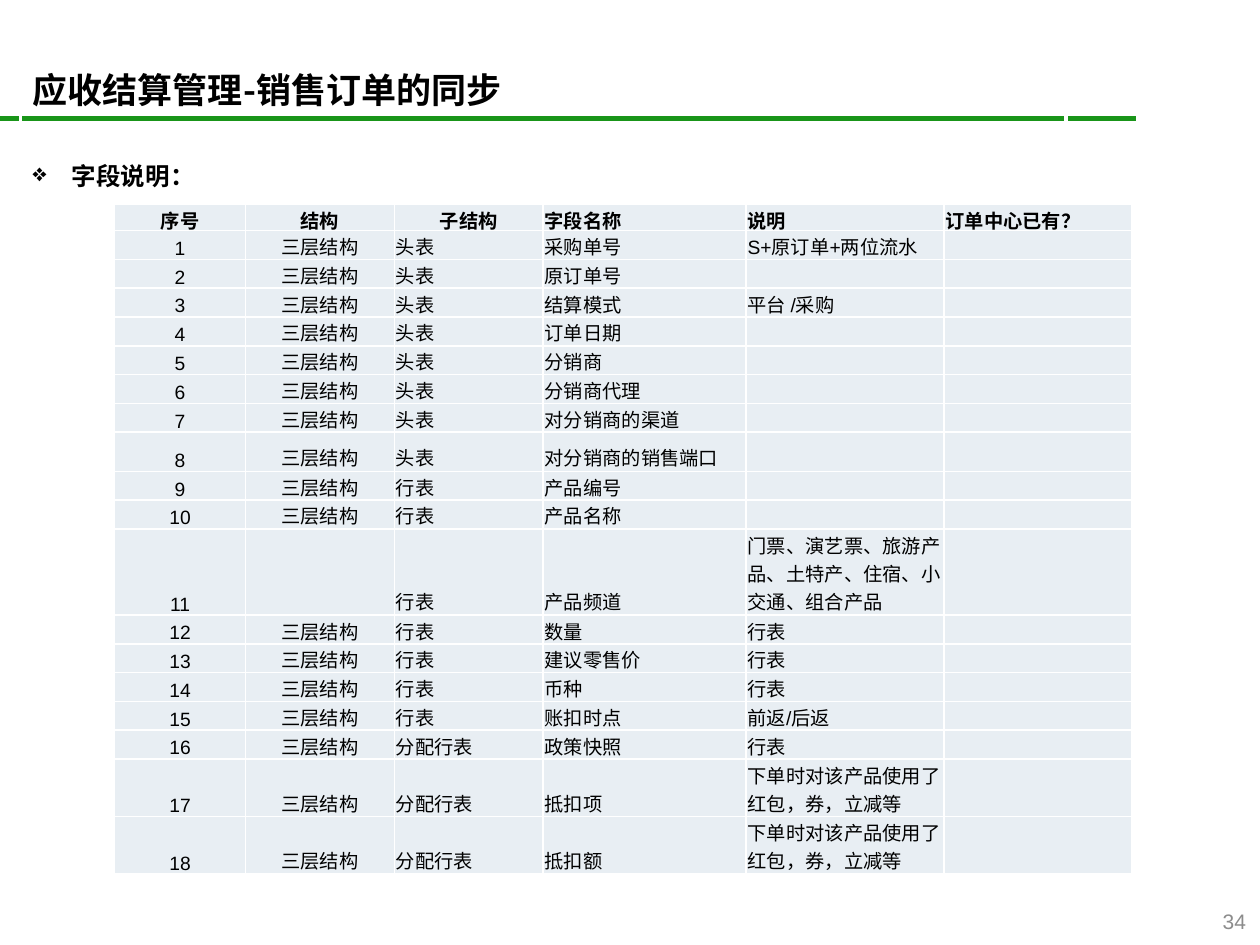
import pptx
import pptx.util
import pptx.dml.color
import pptx.enum.shapes
import pptx.enum.text
import pptx.oxml.ns
from dataclasses import dataclass
from lxml import etree

Cm, Pt = pptx.util.Cm, pptx.util.Pt
qn = pptx.oxml.ns.qn
RGB = pptx.dml.color.RGBColor.from_string
ALIGN = pptx.enum.text.PP_ALIGN
ANCHOR = pptx.enum.text.MSO_ANCHOR


@dataclass(frozen=True)
class Theme:
    latin: str = "Arial"
    cjk: str = "Noto Sans CJK SC"
    text: str = "000000"
    muted: str = "8C8C8C"
    green: str = "199519"
    white: str = "FFFFFF"
    cell: str = "E8EEF3"
    title: int = 20
    heading: int = 14
    number: int = 12
    body: int = 11


class SlideBuilder:
    def __init__(self, s, theme):
        self.s, self.theme = s, theme

    def add_text(self, p, text, size, latin, color=None, bold=False, align=ALIGN.LEFT):
        p.alignment = align
        r = p.add_run()
        r.text = text
        style = {"size": Pt(size), "name": latin, "bold": bold}
        for name, value in style.items():
            setattr(r.font, name, value)
        r.font.color.rgb = RGB(color or self.theme.text)
        ea = etree.SubElement(r.font._element, qn("a:ea"))
        ea.set("typeface", self.theme.cjk)

    def rule(self, x1, x2, y, width):
        c = self.s.shapes.add_connector(
            pptx.enum.shapes.MSO_CONNECTOR.STRAIGHT, Cm(x1), Cm(y), Cm(x2), Cm(y))
        c.line.color.rgb = RGB(self.theme.green)
        c.line.width = Pt(width)
        etree.SubElement(c._element.spPr, qn("a:effectLst"))

    def title(self, box, text):
        sp = self.s.shapes.add_shape(
            pptx.enum.shapes.MSO_SHAPE.RECTANGLE, *map(Cm, box))
        sp.shadow.inherit = False
        sp.fill.background()
        sp.line.color.rgb = RGB(self.theme.white)
        sp.line.width = Pt(2)
        sp.text_frame.vertical_anchor = ANCHOR.MIDDLE
        self.add_text(sp.text_frame.paragraphs[0], text, self.theme.title,
                      self.theme.cjk, bold=True)

    def text_frame(self, box, anchor):
        tf = self.s.shapes.add_textbox(*map(Cm, box)).text_frame
        tf.word_wrap = True
        tf.vertical_anchor = anchor
        return tf

    def bullet(self, box, text, indent):
        p = self.text_frame(box, ANCHOR.TOP).paragraphs[0]
        pPr = p._p.get_or_add_pPr()
        pPr.set("marL", str(Cm(indent)))
        pPr.set("indent", str(-Cm(indent)))
        etree.SubElement(pPr, qn("a:buChar")).set("char", "❖")
        self.add_text(p, text, self.theme.heading, self.theme.cjk, bold=True)

    def page_number(self, box, text):
        p = self.text_frame(box, ANCHOR.MIDDLE).paragraphs[0]
        self.add_text(p, text, self.theme.number, self.theme.latin,
                      self.theme.muted, align=ALIGN.RIGHT)

    def cell(self, cell, text, header, centred):
        margins = {"margin_left": Cm(0.03), "margin_right": Cm(0.03),
                   "margin_top": Cm(0.03), "margin_bottom": 0}
        for name, value in margins.items():
            setattr(cell, name, value)
        cell.vertical_anchor = ANCHOR.MIDDLE if header else ANCHOR.BOTTOM
        p = cell.text_frame.paragraphs[0]
        if text:
            self.add_text(p, text, self.theme.body, self.theme.latin, bold=header,
                          align=ALIGN.CENTER if centred else ALIGN.LEFT)
        else:  # keeps an empty cell from stretching its row
            end = etree.SubElement(p._p, qn("a:endParaRPr"))
            end.set("sz", str(self.theme.body * 100))
        # Borders come before the fill in the cell properties
        tcPr = cell._tc.get_or_add_tcPr()
        for side in ("lnL", "lnR", "lnT", "lnB"):
            ln = etree.SubElement(tcPr, qn("a:" + side), w=str(Pt(1)))
            fill = etree.SubElement(ln, qn("a:solidFill"))
            etree.SubElement(fill, qn("a:srgbClr"), val=self.theme.white)
        cell.fill.solid()
        cell.fill.fore_color.rgb = RGB(self.theme.cell)

    def table(self, x, y, widths, heights, rows):
        tbl = self.s.shapes.add_table(
            len(rows), len(widths), Cm(x), Cm(y),
            Cm(sum(widths)), Cm(sum(heights))).table
        tbl.first_row = tbl.horz_banding = False
        for col, width in zip(tbl.columns, widths):
            col.width = Cm(width)
        for i, (row, height) in enumerate(zip(rows, heights)):
            tbl.rows[i].height = Cm(height)
            for j, text in enumerate(row):
                centred = j < 2 or (i == 0 and j == 2)
                self.cell(tbl.cell(i, j), text, i == 0, centred)


# Field list: sub-structure, field name, description
HEADER = ["序号", "结构", "子结构", "字段名称", "说明", "订单中心已有？"]
DISCOUNT = "下单时对该产品使用了红包，券，立减等"
FIELDS = [
    ("头表", "采购单号", "S+原订单+两位流水"),
    ("头表", "原订单号", ""),
    ("头表", "结算模式", "平台 /采购"),
    ("头表", "订单日期", ""),
    ("头表", "分销商", ""),
    ("头表", "分销商代理", ""),
    ("头表", "对分销商的渠道", ""),
    ("头表", "对分销商的销售端口", ""),
    ("行表", "产品编号", ""),
    ("行表", "产品名称", ""),
    ("行表", "产品频道", "门票、演艺票、旅游产品、土特产、住宿、小交通、组合产品"),
    ("行表", "数量", "行表"),
    ("行表", "建议零售价", "行表"),
    ("行表", "币种", "行表"),
    ("行表", "账扣时点", "前返/后返"),
    ("分配行表", "政策快照", "行表"),
    ("分配行表", "抵扣项", DISCOUNT),
    ("分配行表", "抵扣额", DISCOUNT),
]
NO_STRUCTURE = 11
WIDTHS = [2.64, 3, 3, 4.09, 3.99, 3.78]
ROW_HEIGHT = 0.58
SPECIAL_HEIGHTS = {0: 0.53, 8: 0.79, 11: 1.74, 17: 1.16, 18: 1.16}


def main():
    prs = pptx.Presentation()
    prs.slide_width, prs.slide_height = Cm(25.4), Cm(19.05)
    b = SlideBuilder(prs.slides.add_slide(prs.slide_layouts[6]), Theme())

    # Heading; the white outline of the title cuts the green rule
    b.rule(0, 22.91, 2.39, 3)
    b.title((0.41, 1.07, 21.08, 1.47), "应收结算管理-销售订单的同步")
    b.page_number((23.95, 18.14, 1.42, 0.86), "34")
    b.bullet((0.41, 3.12, 23.85, 3.84), "字段说明：", 0.79)

    # Field table
    rows = [HEADER]
    for n, field in enumerate(FIELDS, 1):
        structure = "" if n == NO_STRUCTURE else "三层结构"
        rows.append([str(n), structure, *field, ""])
    heights = [SPECIAL_HEIGHTS.get(i, ROW_HEIGHT) for i in range(len(rows))]
    b.table(2.31, 4.12, WIDTHS, heights, rows)

    prs.save("out.pptx")


if __name__ == "__main__":
    main()
